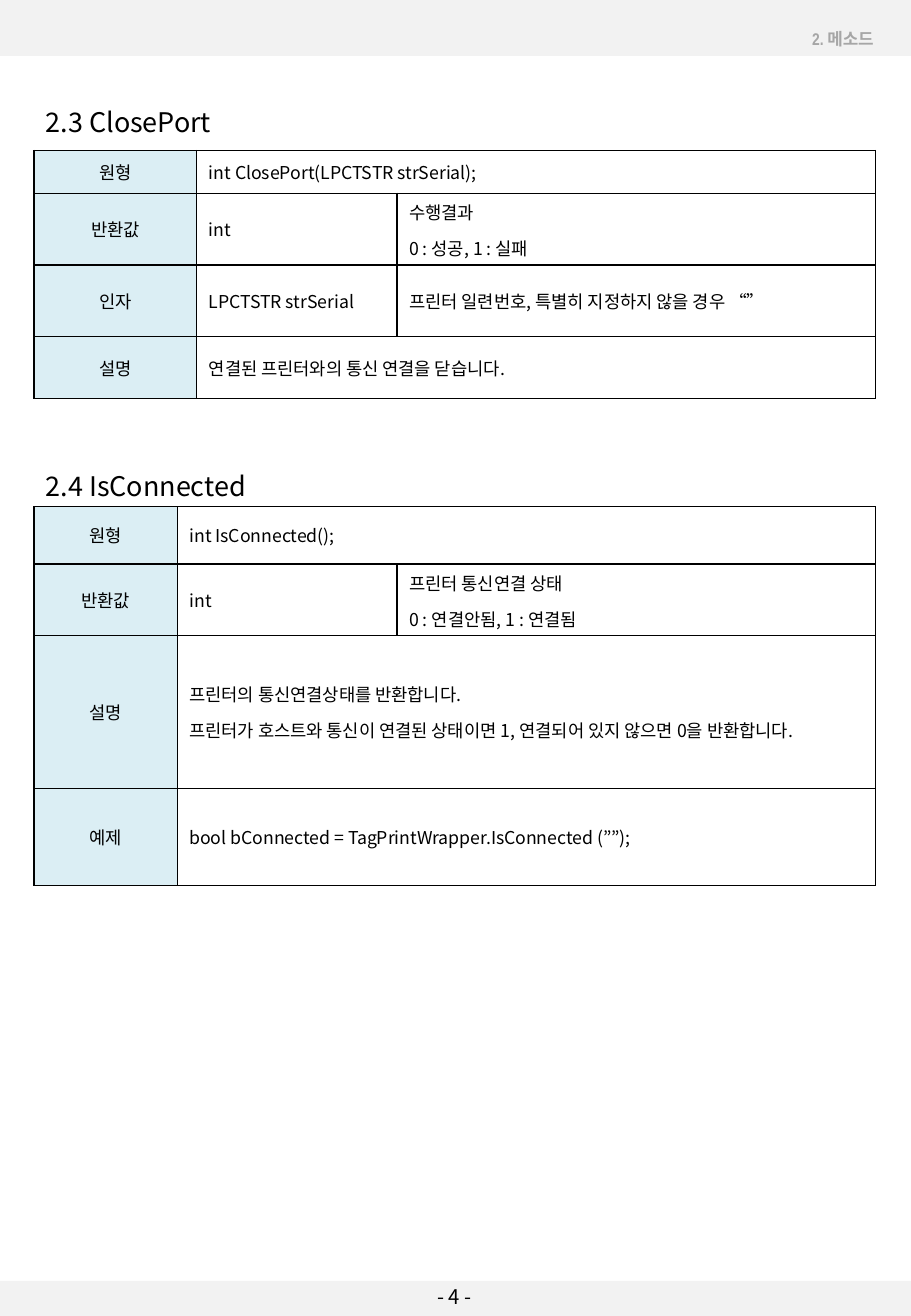
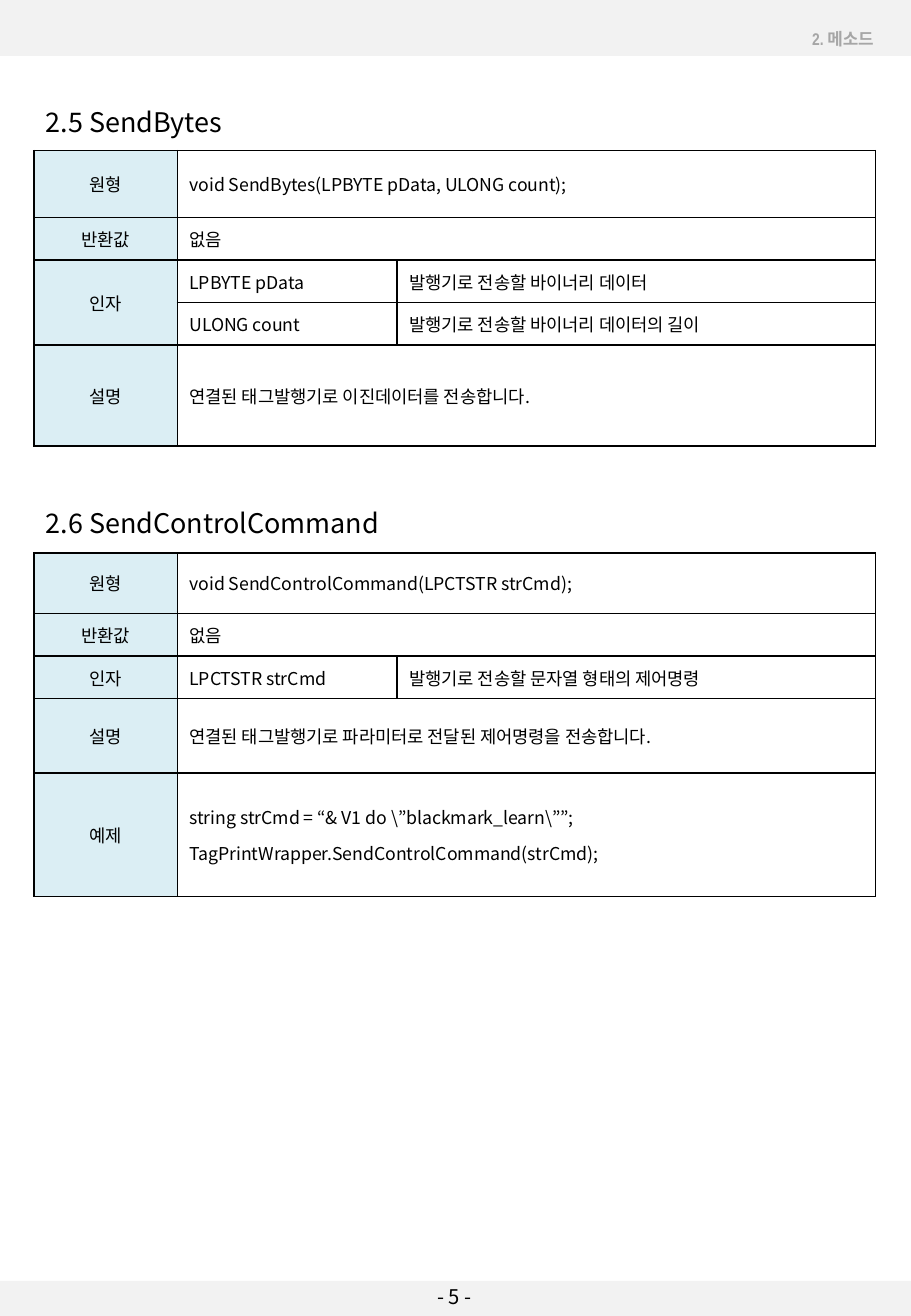
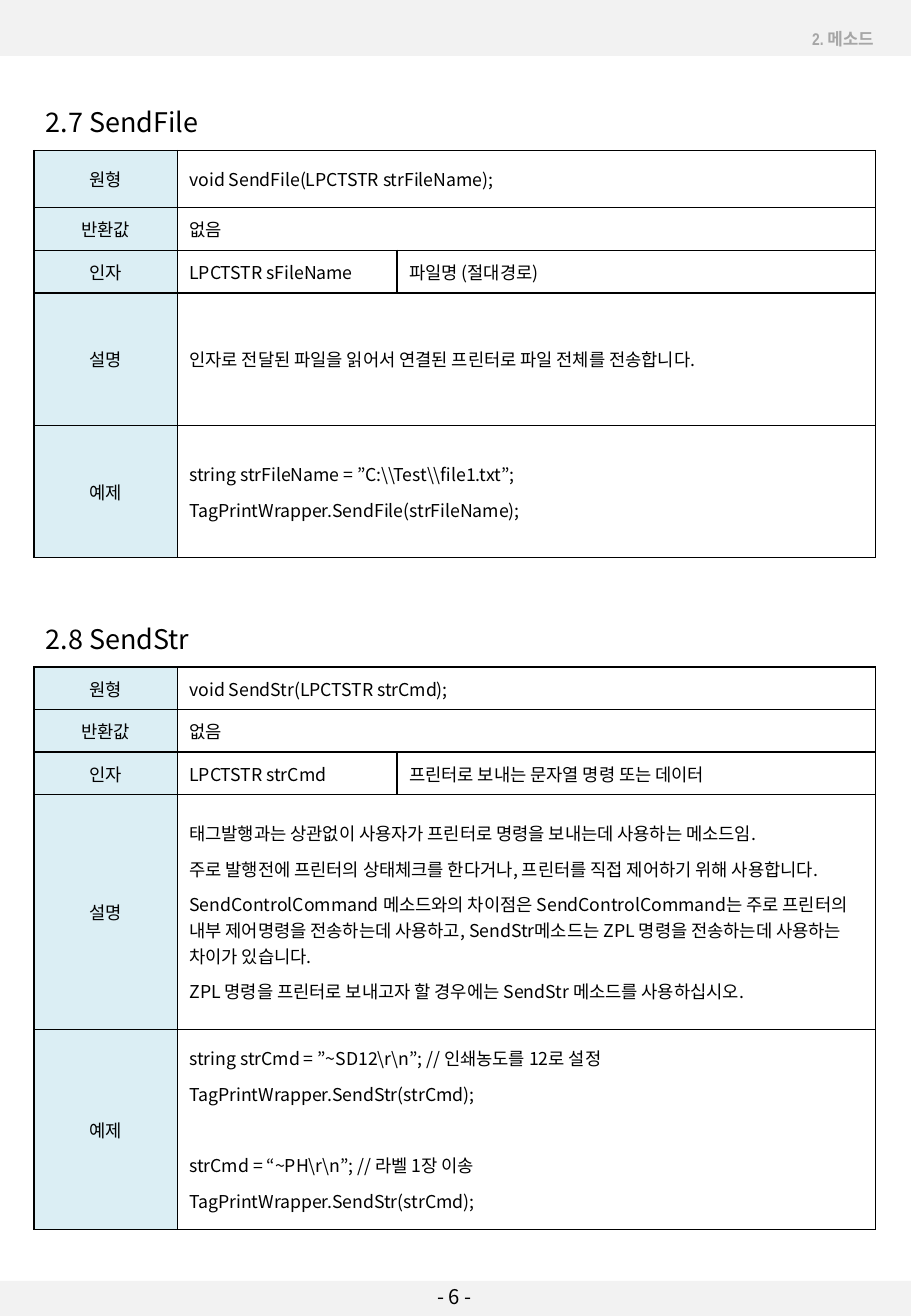
from dataclasses import dataclass, field

from lxml.etree import SubElement
from pptx import Presentation
from pptx.dml.color import RGBColor
from pptx.enum.shapes import MSO_SHAPE
from pptx.enum.text import MSO_ANCHOR, MSO_AUTO_SIZE, PP_ALIGN
from pptx.oxml.ns import qn
from pptx.slide import Slide
from pptx.table import _Cell as Cell
from pptx.text.text import TextFrame
from pptx.util import Inches, Pt


@dataclass(frozen=True)
class Theme:
    ink: str = "000000"
    muted: str = "A6A6A6"
    band: str = "F2F2F2"
    label: str = "DBEEF4"
    font: str = "Noto Sans CJK KR"
    header_font: str = "Arial Narrow"
    title_size: float = 16
    page_size: float = 12
    header_size: float = 10
    cell_size: float = 10.5
    border: float = 1
    paragraph_gap: float = 3
    skipped_line: float = 21


@dataclass(frozen=True)
class Row:
    """One table row; an empty label continues the label above."""
    label: str
    value: list[str]
    detail: list[str] = field(default_factory=list)
    height: float = 0.35


@dataclass(frozen=True)
class Method:
    title: str
    title_top: float
    table_top: float
    rows: list[Row]
    label_width: float = 1.18


THEME = Theme()
PAGE_WIDTH, PAGE_HEIGHT = 7.5, 10.83
LEFT, CONTENT_WIDTH, DETAIL_WIDTH = 0.28, 6.93, 3.94
HEADER_HEIGHT, FOOTER_HEIGHT = 0.46, 0.29
FIRST_PAGE = 4
SECTION = "2. 메소드"
NO_RETURN = Row("반환값", ["없음"])

PAGES = [
    [
        Method("2.3 ClosePort", 0.77, 1.24, [
            Row("원형", ["int ClosePort(LPCTSTR strSerial);"]),
            Row("반환값", ["int"], ["수행결과", "0 : 성공, 1 : 실패"], 0.59),
            Row("인자", ["LPCTSTR strSerial"],
                ["프린터 일련번호, 특별히 지정하지 않을 경우 “”"], 0.59),
            Row("설명", ["연결된 프린터와의 통신 연결을 닫습니다."], height=0.51),
        ], label_width=1.34),
        Method("2.4 IsConnected", 3.76, 4.17, [
            Row("원형", ["int IsConnected();"], height=0.47),
            Row("반환값", ["int"],
                ["프린터 통신연결 상태", "0 : 연결안됨, 1 : 연결됨"], 0.59),
            Row("설명", [
                "프린터의 통신연결상태를 반환합니다.",
                "프린터가 호스트와 통신이 연결된 상태이면 1, "
                "연결되어 있지 않으면 0을 반환합니다.",
            ], height=1.26),
            Row("예제", ["bool bConnected = TagPrintWrapper.IsConnected (””);"],
                height=0.8),
        ]),
    ],
    [
        Method("2.5 SendBytes", 0.77, 1.24, [
            Row("원형", ["void SendBytes(LPBYTE pData, ULONG count);"], height=0.55),
            NO_RETURN,
            Row("인자", ["LPBYTE pData"], ["발행기로 전송할 바이너리 데이터"]),
            Row("", ["ULONG count"], ["발행기로 전송할 바이너리 데이터의 길이"]),
            Row("설명", ["연결된 태그발행기로 이진데이터를 전송합니다."], height=0.83),
        ]),
        Method("2.6 SendControlCommand", 4.07, 4.55, [
            Row("원형", ["void SendControlCommand(LPCTSTR strCmd);"], height=0.5),
            NO_RETURN,
            Row("인자", ["LPCTSTR strCmd"], ["발행기로 전송할 문자열 형태의 제어명령"]),
            Row("설명", ["연결된 태그발행기로 파라미터로 전달된 제어명령을 전송합니다."],
                height=0.61),
            Row("예제", [
                r"string strCmd = “& V1 do \”blackmark_learn\””;",
                "TagPrintWrapper.SendControlCommand(strCmd);",
            ], height=1.02),
        ]),
    ],
    [
        Method("2.7 SendFile", 0.77, 1.24, [
            Row("원형", ["void SendFile(LPCTSTR strFileName);"], height=0.47),
            NO_RETURN,
            Row("인자", ["LPCTSTR sFileName"], ["파일명 (절대경로)"]),
            Row("설명", ["인자로 전달된 파일을 읽어서 연결된 프린터로 파일 전체를 전송합니다."],
                height=1.09),
            Row("예제", [
                r"string strFileName = ”C:\\Test\\file1.txt”;",
                "TagPrintWrapper.SendFile(strFileName);",
            ], height=1.09),
        ]),
        Method("2.8 SendStr", 5.02, 5.49, [
            Row("원형", ["void SendStr(LPCTSTR strCmd);"]),
            NO_RETURN,
            Row("인자", ["LPCTSTR strCmd"], ["프린터로 보내는 문자열 명령 또는 데이터"]),
            Row("설명", [
                "태그발행과는 상관없이 사용자가 프린터로 명령을 보내는데 사용하는 메소드임.",
                "주로 발행전에 프린터의 상태체크를 한다거나, "
                "프린터를 직접 제어하기 위해 사용합니다.",
                "SendControlCommand 메소드와의 차이점은 SendControlCommand는 주로 "
                "프린터의 내부 제어명령을 전송하는데 사용하고, SendStr메소드는 ZPL 명령을 "
                "전송하는데 사용하는 차이가 있습니다.",
                "ZPL 명령을 프린터로 보내고자 할 경우에는 SendStr 메소드를 사용하십시오.",
            ], height=1.93),
            Row("예제", [
                r"string strCmd = ”~SD12\r\n”; // 인쇄농도를 12로 설정",
                "TagPrintWrapper.SendStr(strCmd);",
                "",
                r"strCmd = “~PH\r\n”; // 라벨 1장 이송",
                "TagPrintWrapper.SendStr(strCmd);",
            ], height=1.65),
        ]),
    ],
]


def write(frame: TextFrame, lines: list[str], *, size: float,
          font: str = THEME.font, color: str = THEME.ink, bold: bool = False,
          align: PP_ALIGN = PP_ALIGN.LEFT, gap: float = 0,
          line_spacing: float = 1.0) -> None:
    """Write one paragraph per line; an empty line widens the gap to the next."""
    skipped = 0.0
    paragraph = None
    for line in lines:
        if not line:
            skipped += THEME.skipped_line
            continue
        paragraph = frame.add_paragraph() if paragraph is not None else frame.paragraphs[0]
        paragraph.alignment = align
        paragraph.line_spacing = line_spacing
        paragraph.space_before = Pt(gap + skipped)
        paragraph.space_after = Pt(gap)
        skipped = 0.0
        run = paragraph.add_run()
        run.text = line
        run.font.size = Pt(size)
        run.font.bold = bold
        run.font.color.rgb = RGBColor.from_string(color)
        run.font.name = font
        SubElement(run.font._element, qn("a:ea"), typeface=font)


def add_text(slide: Slide, text: str, left: float, top: float, width: float,
             height: float, *, wrap: bool = True, **text_format) -> None:
    box = slide.shapes.add_textbox(Inches(left), Inches(top), Inches(width), Inches(height))
    box.text_frame.word_wrap = wrap
    box.text_frame.auto_size = MSO_AUTO_SIZE.SHAPE_TO_FIT_TEXT
    write(box.text_frame, [text], **text_format)


def add_band(slide: Slide, top: float, height: float) -> None:
    band = slide.shapes.add_shape(
        MSO_SHAPE.RECTANGLE, 0, Inches(top), Inches(PAGE_WIDTH), Inches(height))
    band.shadow.inherit = False
    band.fill.solid()
    band.fill.fore_color.rgb = RGBColor.from_string(THEME.band)
    band.line.fill.background()


def add_page_frame(slide: Slide, number: int) -> None:
    """Draw the header and footer that every page shares."""
    add_band(slide, 0, HEADER_HEIGHT)
    add_band(slide, PAGE_HEIGHT - FOOTER_HEIGHT, FOOTER_HEIGHT)
    add_text(slide, f"- {number} -", 3.1, 10.52, 1.28, 0.3,
             size=THEME.page_size, align=PP_ALIGN.CENTER)
    add_text(slide, SECTION, 6.54, 0.19, 0.75, 0.27, wrap=False,
             size=THEME.header_size, font=THEME.header_font, color=THEME.muted,
             bold=True, align=PP_ALIGN.RIGHT)


def style_cell(cell: Cell, is_label: bool) -> None:
    cell.vertical_anchor = MSO_ANCHOR.MIDDLE
    properties = cell._tc.get_or_add_tcPr()
    for side in ("a:lnL", "a:lnR", "a:lnT", "a:lnB"):
        border = SubElement(properties, qn(side), w=str(Pt(THEME.border)))
        SubElement(SubElement(border, qn("a:solidFill")), qn("a:srgbClr"), val=THEME.ink)
    if is_label:
        cell.fill.solid()
        cell.fill.fore_color.rgb = RGBColor.from_string(THEME.label)
    else:
        cell.fill.background()


def add_method(slide: Slide, method: Method) -> None:
    add_text(slide, method.title, LEFT, method.title_top, CONTENT_WIDTH, 0.4,
             size=THEME.title_size, gap=THEME.paragraph_gap, line_spacing=1.2)
    table = slide.shapes.add_table(
        len(method.rows), 3, Inches(LEFT), Inches(method.table_top),
        Inches(CONTENT_WIDTH), Inches(sum(row.height for row in method.rows))).table
    table.first_row = table.horz_banding = False
    value_width = CONTENT_WIDTH - DETAIL_WIDTH - method.label_width
    for column, width in zip(table.columns, (method.label_width, value_width, DETAIL_WIDTH)):
        column.width = Inches(width)

    for index, row in enumerate(method.rows):
        table.rows[index].height = Inches(row.height)
        label, value, detail = (table.cell(index, column) for column in range(3))
        for cell in (label, value, detail):
            style_cell(cell, is_label=cell is label)
        if row.label:
            write(label.text_frame, [row.label], size=THEME.cell_size, align=PP_ALIGN.CENTER)
        else:
            table.cell(index - 1, 0).merge(label)
        if not row.detail:
            value.merge(detail)
        for cell, lines in ((value, row.value), (detail, row.detail)):
            write(cell.text_frame, lines, size=THEME.cell_size, gap=THEME.paragraph_gap)


def main() -> None:
    deck = Presentation()
    deck.slide_width, deck.slide_height = Inches(PAGE_WIDTH), Inches(PAGE_HEIGHT)
    blank = deck.slide_layouts[6]
    for number, methods in enumerate(PAGES, FIRST_PAGE):
        slide = deck.slides.add_slide(blank)
        add_page_frame(slide, number)
        for method in methods:
            add_method(slide, method)
    deck.save("out.pptx")


if __name__ == "__main__":
    main()
